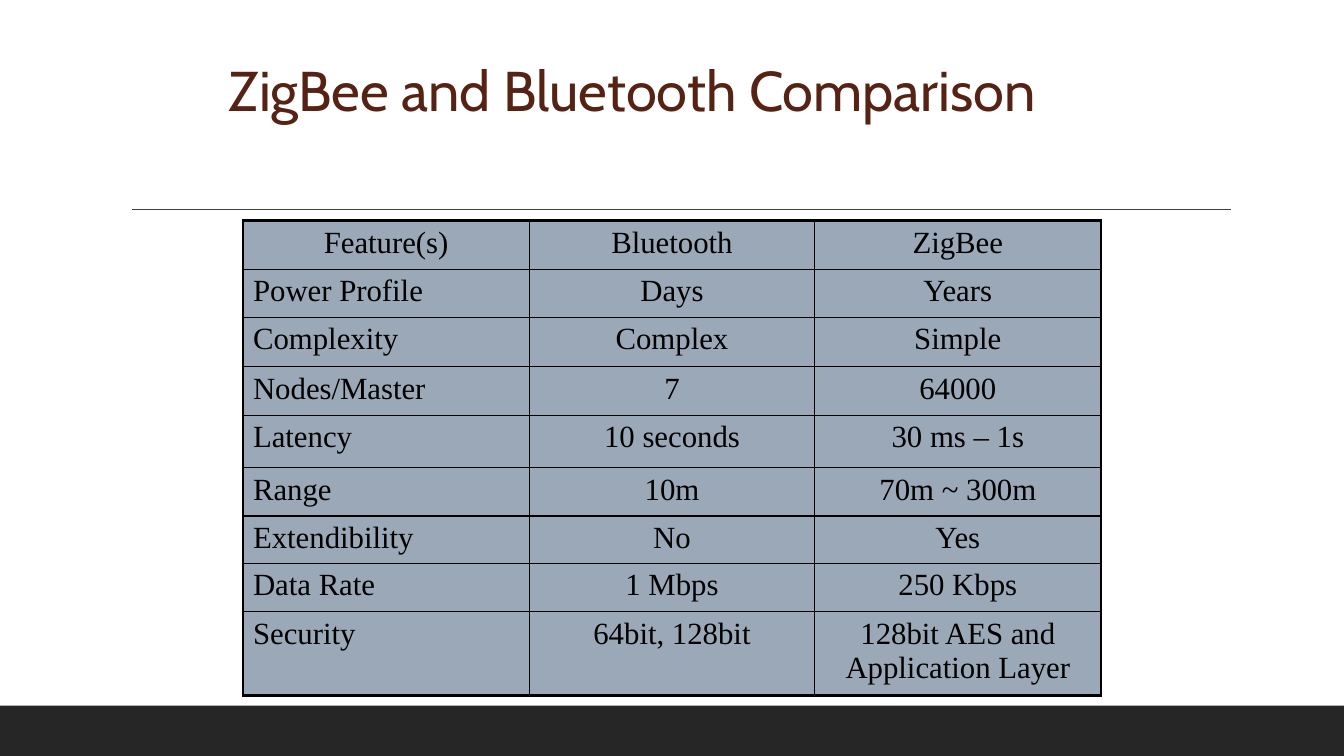
"""Builds the slide that compares ZigBee and Bluetooth feature by feature."""
from dataclasses import dataclass

from lxml import etree
from pptx import Presentation
from pptx.dml.color import RGBColor
from pptx.enum.shapes import MSO_CONNECTOR, MSO_SHAPE
from pptx.enum.text import MSO_ANCHOR, PP_ALIGN
from pptx.oxml.ns import qn
from pptx.util import Emu, Pt

RECTANGLE = MSO_SHAPE.RECTANGLE
STRAIGHT = MSO_CONNECTOR.STRAIGHT
MIDDLE = MSO_ANCHOR.MIDDLE
LEFT, CENTER = PP_ALIGN.LEFT, PP_ALIGN.CENTER
EMU_PER_PX = 9144

COLUMN_WIDTHS = [284, 283, 284]
ROW_HEIGHTS = [48, 48, 49, 48, 52, 48, 47, 48, 48]
COMPARISON = [
    ("Feature(s)", "Bluetooth", "ZigBee"),
    ("Power Profile", "Days", "Years"),
    ("Complexity", "Complex", "Simple"),
    ("Nodes/Master", "7", "64000"),
    ("Latency", "10 seconds", "30 ms – 1s"),
    ("Range", "10m", "70m ~ 300m"),
    ("Extendibility", "No", "Yes"),
    ("Data Rate", "1 Mbps", "250 Kbps"),
    ("Security", "64bit, 128bit", "128bit AES and Application Layer"),
]


@dataclass(frozen=True)
class Theme:
    title_font: str = "Cabin"
    table_font: str = "Times New Roman"
    title_size: float = 40
    table_size: float = 22
    title_color: str = "562214"
    table_color: str = "000000"
    cell_fill: str = "9BA8B7"
    footer_fill: str = "262626"
    rule_color: str = "3F3F3F"
    rule_width: float = 1
    inner_border: float = 1
    outer_border: float = 2.25


def px(length):
    return Emu(length * EMU_PER_PX)


class SlideBuilder:
    def __init__(self, slide, theme):
        self.shapes = slide.shapes
        self.theme = theme

    def style(self, paragraph, font_name, size, color):
        paragraph.font.name = font_name
        paragraph.font.size = Pt(size)
        paragraph.font.color.rgb = RGBColor.from_string(color)

    def band(self, left, top, width, height):
        band = self.shapes.add_shape(RECTANGLE, px(left), px(top), px(width), px(height))
        band.shadow.inherit = False
        band.fill.solid()
        band.fill.fore_color.rgb = RGBColor.from_string(self.theme.footer_fill)
        band.line.fill.background()

    def rule(self, left, right, y):
        rule = self.shapes.add_connector(STRAIGHT, px(left), px(y), px(right), px(y))
        rule.line.color.rgb = RGBColor.from_string(self.theme.rule_color)
        rule.line.width = Pt(self.theme.rule_width)
        etree.SubElement(rule._element.spPr, qn("a:effectLst"))

    def title(self, text, left, top, width, height):
        frame = self.shapes.add_textbox(px(left), px(top), px(width), px(height)).text_frame
        frame.word_wrap = True
        frame.vertical_anchor = MIDDLE
        paragraph = frame.paragraphs[0]
        paragraph.text = text
        paragraph.line_spacing = 0.9
        self.style(paragraph, self.theme.title_font, self.theme.title_size, self.theme.title_color)

    def border(self, cell, side, width):
        line = etree.SubElement(cell._tc.get_or_add_tcPr(), qn(f"a:ln{side}"), w=str(Pt(width)))
        fill = etree.SubElement(line, qn("a:solidFill"))
        etree.SubElement(fill, qn("a:srgbClr"), val=self.theme.table_color)

    def cell(self, cell, text, alignment, outer_sides):
        for side in "LRTB":
            is_outer = side in outer_sides
            self.border(cell, side, self.theme.outer_border if is_outer else self.theme.inner_border)
        cell.fill.solid()
        cell.fill.fore_color.rgb = RGBColor.from_string(self.theme.cell_fill)
        paragraph = cell.text_frame.paragraphs[0]
        paragraph.text = text
        paragraph.alignment = alignment
        self.style(paragraph, self.theme.table_font, self.theme.table_size, self.theme.table_color)

    def table(self, rows, left, top, widths, heights):
        table = self.shapes.add_table(
            len(rows), len(widths), px(left), px(top), px(sum(widths)), px(sum(heights))
        ).table
        table.first_row = False
        table.horz_banding = False
        for column, width in zip(table.columns, widths):
            column.width = px(width)
        for row, height in zip(table.rows, heights):
            row.height = px(height)
        last_row, last_column = len(rows) - 1, len(widths) - 1
        for r, values in enumerate(rows):
            for c, value in enumerate(values):
                edges = {"L": c == 0, "R": c == last_column, "T": r == 0, "B": r == last_row}
                outer_sides = [side for side, is_outer in edges.items() if is_outer]
                alignment = LEFT if c == 0 and r > 0 else CENTER
                self.cell(table.cell(r, c), value, alignment, outer_sides)


def main():
    presentation = Presentation()
    presentation.slide_width, presentation.slide_height = px(1333), px(750)
    blank_layout = presentation.slide_layouts[6]
    builder = SlideBuilder(presentation.slides.add_slide(blank_layout), Theme())
    builder.band(0, 700, 1333, 50)
    builder.rule(131, 1221, 208)
    builder.title("ZigBee and Bluetooth Comparison", 217, 30, 900, 125)
    builder.table(COMPARISON, 241, 219, COLUMN_WIDTHS, ROW_HEIGHTS)
    presentation.save("out.pptx")


if __name__ == "__main__":
    main()
